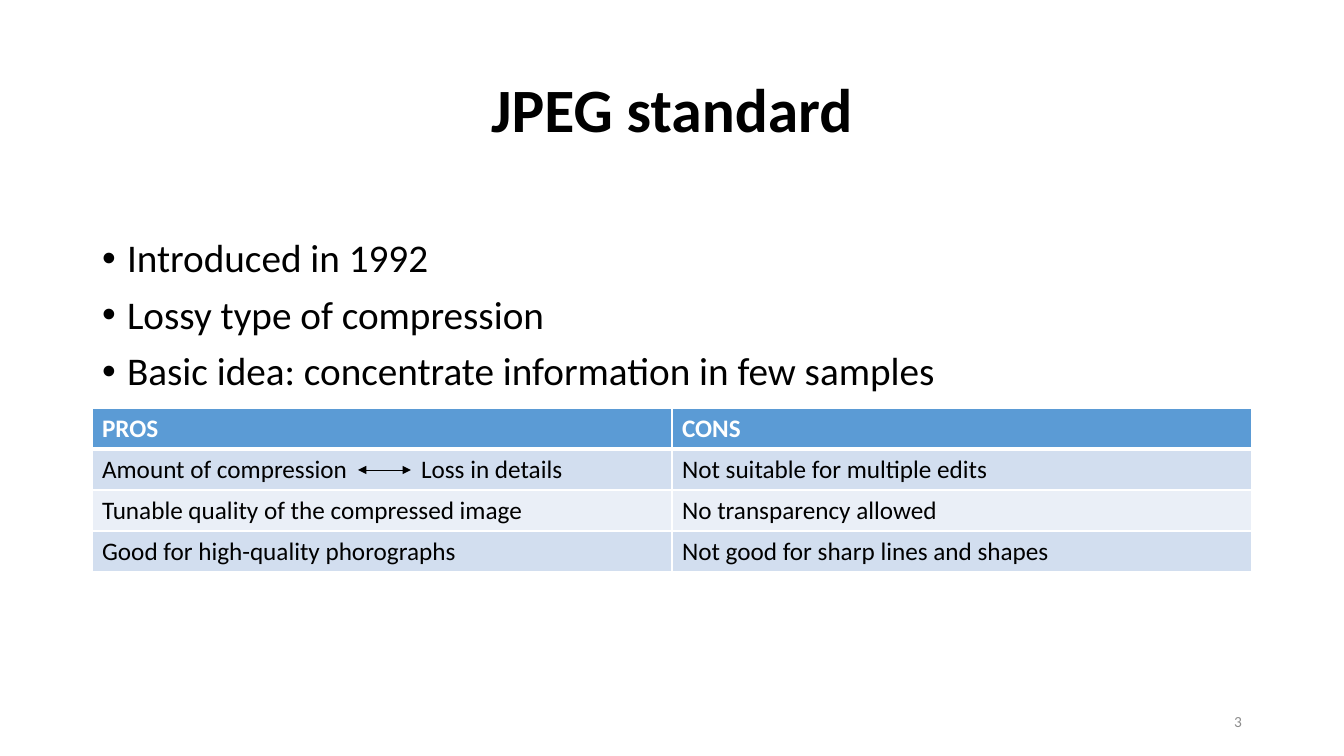
import pptx
import pptx.util
import pptx.dml.color
import pptx.enum.shapes
import pptx.enum.text
import pptx.oxml
import pptx.oxml.ns
from dataclasses import dataclass

# Content
TITLE = "JPEG standard"
POINTS = [
    "Introduced in 1992",
    "Lossy type of compression",
    "Basic idea: concentrate information in few samples",
]
COMPARISON = [
    ("PROS", "CONS"),
    ("Amount of compression\tLoss in details", "Not suitable for multiple edits"),
    ("Tunable quality of the compressed image", "No transparency allowed"),
    ("Good for high-quality phorographs", "Not good for sharp lines and shapes"),
]
PAGE_NUMBER = "3"

# Layout in px: left, top, width, height
SLIDE = (1344, 756)
TITLE_BOX = (92, 40, 1160, 146)
POINTS_BOX = (92, 234, 1160, 480)
NUMBER_BOX = (950, 701, 302, 40)
TABLE_LEFT, TABLE_TOP, COLUMN, ROW = 92, 408, 580, 41
TRADE_OFF_ARROW = (358, 470, 411, 470)
LOSS_TAB = 319
BULLET_INDENT = 25


@dataclass(frozen=True)
class Theme:
    font: str = "Calibri"
    ink: str = "000000"
    paper: str = "FFFFFF"
    muted: str = "8C8C8C"
    header: str = "5B9BD5"
    bands: tuple = ("EAEFF7", "D2DEEF")
    title_size: int = 44
    point_size: int = 28
    cell_size: int = 18
    number_size: int = 11


THEME = Theme()
ALIGN = pptx.enum.text.PP_ALIGN
ANCHOR = pptx.enum.text.MSO_ANCHOR


def px(length):
    return round(length * 914400 / 100.8)


def place(part, box):
    part.left, part.top, part.width, part.height = map(px, box)


def rgb(value):
    return pptx.dml.color.RGBColor.from_string(value)


def add_xml(parent, xml):
    """Append a DrawingML element written with the a: prefix."""
    tag, rest = xml.split(" ", 1)
    namespace = pptx.oxml.ns.nsdecls("a")
    parent.append(pptx.oxml.parse_xml(f"{tag} {namespace} {rest}"))


def write(frame, lines, size, color=THEME.ink, bold=False, align=ALIGN.LEFT,
          anchor=ANCHOR.TOP, spacing=1.0, before=0, bullet=False, tab=None):
    frame.word_wrap = True
    frame.vertical_anchor = anchor
    for index, line in enumerate(lines):
        paragraph = frame.paragraphs[0] if index == 0 else frame.add_paragraph()
        paragraph.alignment = align
        paragraph.line_spacing = spacing
        paragraph.space_before = pptx.util.Pt(before)
        properties = paragraph._p.get_or_add_pPr()
        if bullet:
            properties.set("marL", str(px(BULLET_INDENT)))
            properties.set("indent", str(-px(BULLET_INDENT)))
            add_xml(properties, '<a:buFont typeface="Arial"/>')
            add_xml(properties, '<a:buChar char="•"/>')
        if tab:
            add_xml(properties, f'<a:tabLst ><a:tab pos="{px(tab)}" algn="l"/></a:tabLst>')
        run = paragraph.add_run()
        run.text = line
        run.font.name = THEME.font
        run.font.size = pptx.util.Pt(size)
        run.font.bold = bold
        run.font.color.rgb = rgb(color)


def border_cell(cell, bottom):
    """Outline a cell in the paper colour, ahead of its fill."""
    properties = cell._tc.get_or_add_tcPr()
    for side, points in (("L", 1), ("R", 1), ("T", 1), ("B", bottom)):
        add_xml(properties, f'<a:ln{side} w="{pptx.util.Pt(points)}"><a:solidFill>'
                            f'<a:srgbClr val="{THEME.paper}"/></a:solidFill></a:ln{side}>')


def add_comparison(slide):
    rows, columns = len(COMPARISON), len(COMPARISON[0])
    comparison = slide.shapes.add_table(
        rows, columns, px(TABLE_LEFT), px(TABLE_TOP),
        px(COLUMN * columns), px(ROW * rows)).table
    for r, entries in enumerate(COMPARISON):
        header = r == 0
        for c, entry in enumerate(entries):
            cell = comparison.cell(r, c)
            border_cell(cell, bottom=3 if header else 1)
            cell.fill.solid()
            cell.fill.fore_color.rgb = rgb(THEME.header if header else THEME.bands[r % 2])
            write(cell.text_frame, [entry], THEME.cell_size, bold=header,
                  color=THEME.paper if header else THEME.ink,
                  tab=LOSS_TAB if "\t" in entry else None)


def add_trade_off_arrow(slide):
    arrow = slide.shapes.add_connector(
        pptx.enum.shapes.MSO_CONNECTOR.STRAIGHT, *map(px, TRADE_OFF_ARROW))
    arrow.line.color.rgb = rgb(THEME.ink)
    arrow.line.width = pptx.util.Pt(0.5)
    line = arrow.line._get_or_add_ln()
    for end in ("head", "tail"):
        add_xml(line, f'<a:{end}End type="triangle"/>')
    add_xml(arrow._element.spPr, "<a:effectLst />")


def main():
    deck = pptx.Presentation()
    deck.slide_width, deck.slide_height = map(px, SLIDE)
    slide = deck.slides.add_slide(deck.slide_layouts[1])

    # Title and points
    title, points = slide.placeholders
    place(title, TITLE_BOX)
    write(title.text_frame, [TITLE], THEME.title_size, bold=True,
          align=ALIGN.CENTER, anchor=ANCHOR.MIDDLE, spacing=0.9)
    place(points, POINTS_BOX)
    write(points.text_frame, POINTS, THEME.point_size, spacing=0.9, before=10, bullet=True)
    for part in (title, points):
        part.text_frame.auto_size = pptx.enum.text.MSO_AUTO_SIZE.NONE

    # Page number
    number = slide.shapes.add_textbox(*map(px, NUMBER_BOX))
    write(number.text_frame, [PAGE_NUMBER], THEME.number_size, color=THEME.muted,
          align=ALIGN.RIGHT, anchor=ANCHOR.MIDDLE)

    # Pros and cons
    add_comparison(slide)
    add_trade_off_arrow(slide)
    deck.save("out.pptx")


if __name__ == "__main__":
    main()
